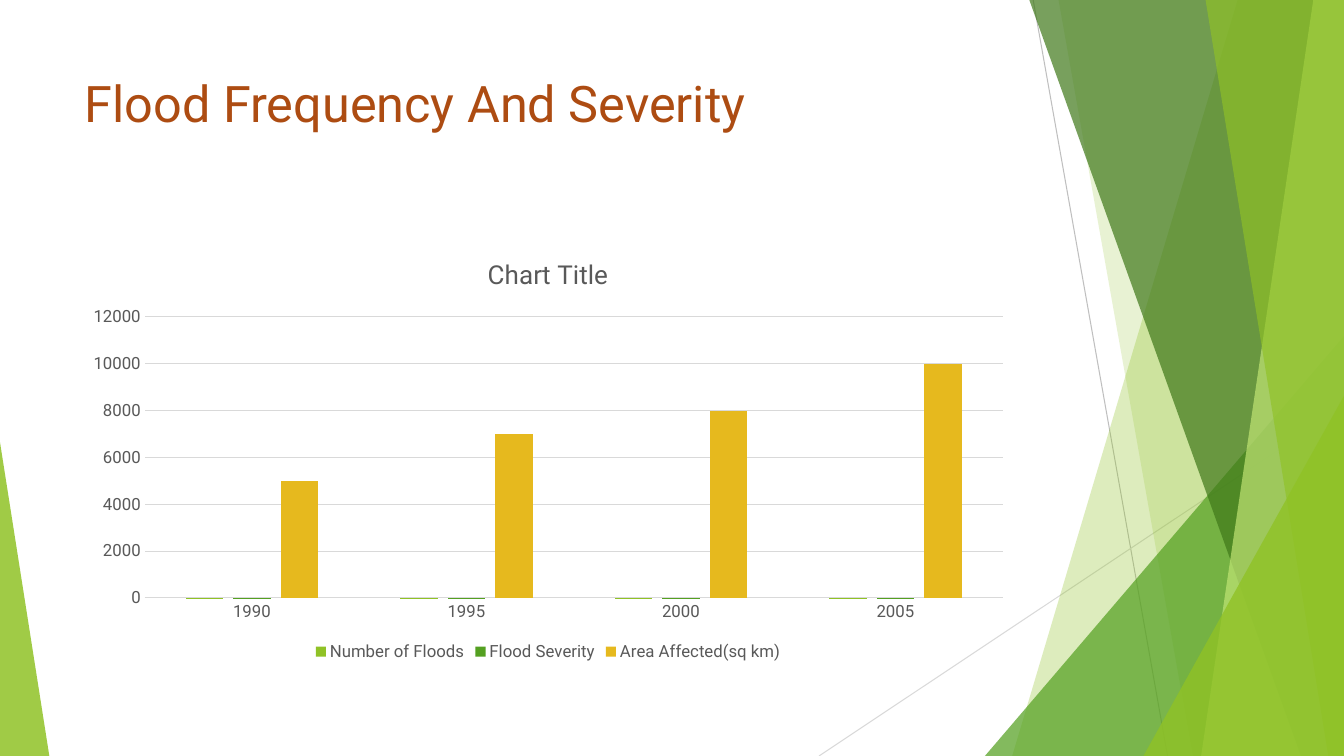
from lxml.etree import SubElement
from pptx import Presentation
from pptx.chart.data import CategoryChartData
from pptx.dml.color import RGBColor
from pptx.enum.chart import XL_CHART_TYPE, XL_LEGEND_POSITION, XL_TICK_MARK
from pptx.enum.shapes import MSO_CONNECTOR, MSO_SHAPE
from pptx.enum.text import MSO_ANCHOR, PP_ALIGN
from pptx.oxml.ns import qn
from pptx.util import Emu, Pt

PIXEL = 9525
WIDTH, HEIGHT = 1280, 720
TOP = -1
FONT = "Roboto"
COLORS = {
    "lime": "90C226", "green": "54A021", "forest": "3F7819", "pale": "C0E474",
    "gold": "E6B91E", "rust": "AD4C12", "text": "595959",
    "grid": "D9D9D9", "silver": "BFBFBF",
}


def px(value):
    return Emu(value * PIXEL)


def color(name):
    return RGBColor.from_string(COLORS[name])


def set_attributes(target, values):
    for name, value in values.items():
        setattr(target, name, value)


def set_font(font, size, color_name):
    set_attributes(font, {"name": FONT, "size": Pt(size), "bold": False})
    font.color.rgb = color(color_name)


def set_line(line, color_name):
    line.width = Pt(0.75)
    line.color.rgb = color(color_name)


class SlideBuilder:
    def __init__(self, slide):
        self.slide = slide
        self.shapes = slide.shapes

    def title(self, text, left, top, width, height):
        shape = self.shapes.title
        set_attributes(shape, {"left": px(left), "top": px(top),
                               "width": px(width), "height": px(height)})
        set_attributes(shape.text_frame, {"text": text, "word_wrap": True,
                                          "vertical_anchor": MSO_ANCHOR.TOP})
        paragraph = shape.text_frame.paragraphs[0]
        paragraph.alignment = PP_ALIGN.LEFT
        set_font(paragraph.runs[0].font, 36, "rust")

    def line(self, start, end, color_name):
        connector = self.shapes.add_connector(
            MSO_CONNECTOR.STRAIGHT, *map(px, start + end))
        set_line(connector.line, color_name)
        SubElement(connector.element.spPr, qn("a:effectLst"))

    def tint(self, shape, color_name, opacity):
        """Fill a shape without outline or shadow, with opacity in percent."""
        shape.shadow.inherit = False
        shape.line.fill.background()
        shape.fill.solid()
        shape.fill.fore_color.rgb = color(color_name)
        fill_color = shape.element.spPr.find(qn("a:solidFill"))[0]
        SubElement(fill_color, qn("a:alpha"), val=str(opacity * 1000))

    def band(self, top_left, bottom_left, color_name, opacity):
        """Draw a slanted band that reaches the right edge of the slide."""
        builder = self.shapes.build_freeform(top_left, TOP, scale=PIXEL)
        builder.add_line_segments(
            [(WIDTH, TOP), (WIDTH, HEIGHT), (bottom_left, HEIGHT)], close=True)
        self.tint(builder.convert_to_shape(), color_name, opacity)

    def triangle(self, left, top, width, apex, color_name, opacity):
        """Draw a triangle that stands on the bottom edge of the slide."""
        shape = self.shapes.add_shape(
            MSO_SHAPE.ISOSCELES_TRIANGLE, px(left), px(top), px(width), px(HEIGHT - top))
        shape.adjustments[0] = apex
        self.tint(shape, color_name, opacity)

    def column_chart(self, title, categories, series_rows, left, top, width, height):
        data = CategoryChartData()
        data.categories = categories
        for name, values, _ in series_rows:
            data.add_series(name, values)
        chart = self.shapes.add_chart(
            XL_CHART_TYPE.COLUMN_CLUSTERED, px(left), px(top), px(width), px(height), data).chart
        set_font(chart.font, 12, "text")

        chart.has_title = True
        chart.chart_title.include_in_layout = False
        chart.chart_title.text_frame.text = title
        title_run = chart.chart_title.text_frame.paragraphs[0].runs[0]
        set_font(title_run.font, 18.6, "text")

        chart.has_legend = True
        set_attributes(chart.legend, {"position": XL_LEGEND_POSITION.BOTTOM,
                                      "include_in_layout": False})
        set_font(chart.legend.font, 12, "text")

        for axis in (chart.category_axis, chart.value_axis):
            set_attributes(axis, {"major_tick_mark": XL_TICK_MARK.NONE,
                                  "minor_tick_mark": XL_TICK_MARK.NONE})
            set_font(axis.tick_labels.font, 12, "text")
        set_line(chart.category_axis.format.line, "grid")
        chart.value_axis.format.line.fill.background()
        set_line(chart.value_axis.major_gridlines.format.line, "grid")

        plot = chart.plots[0]
        set_attributes(plot, {"gap_width": 219, "overlap": -27, "vary_by_categories": False})
        for series, (_, _, color_name) in zip(plot.series, series_rows):
            series.format.fill.solid()
            series.format.fill.fore_color.rgb = color(color_name)


def main():
    presentation = Presentation()
    set_attributes(presentation, {"slide_width": px(WIDTH), "slide_height": px(HEIGHT)})
    title_only = presentation.slide_layouts[5]
    builder = SlideBuilder(presentation.slides.add_slide(title_only))

    builder.line((984, 0), (1112, HEIGHT), "silver")
    builder.line((WIDTH, 387), (780, HEIGHT), "grid")
    builder.band(1179, 964, "lime", 30)
    builder.band(1008, 1136, "lime", 20)
    builder.triangle(938, 320, 342, 1, "green", 72)
    builder.band(980, 1239, "forest", 70)
    builder.band(1251, 1144, "pale", 70)
    builder.band(1148, 1265, "lime", 65)
    builder.triangle(1089, 377, 191, 1, "lime", 80)
    builder.triangle(0, 421, 47, 0, "lime", 85)

    builder.title("Flood Frequency And Severity", 71, 64, 902, 138)
    builder.column_chart(
        "Chart Title",
        ["1990", "1995", "2000", "2005"],
        [("Number of Floods", [10, 10, 10, 10], "lime"),
         ("Flood Severity", [10, 10, 10, 10], "green"),
         ("Area Affected(sq km)", [5000, 7000, 8000, 10000], "gold")],
        71, 227, 902, 407)
    presentation.save("out.pptx")


if __name__ == "__main__":
    main()
